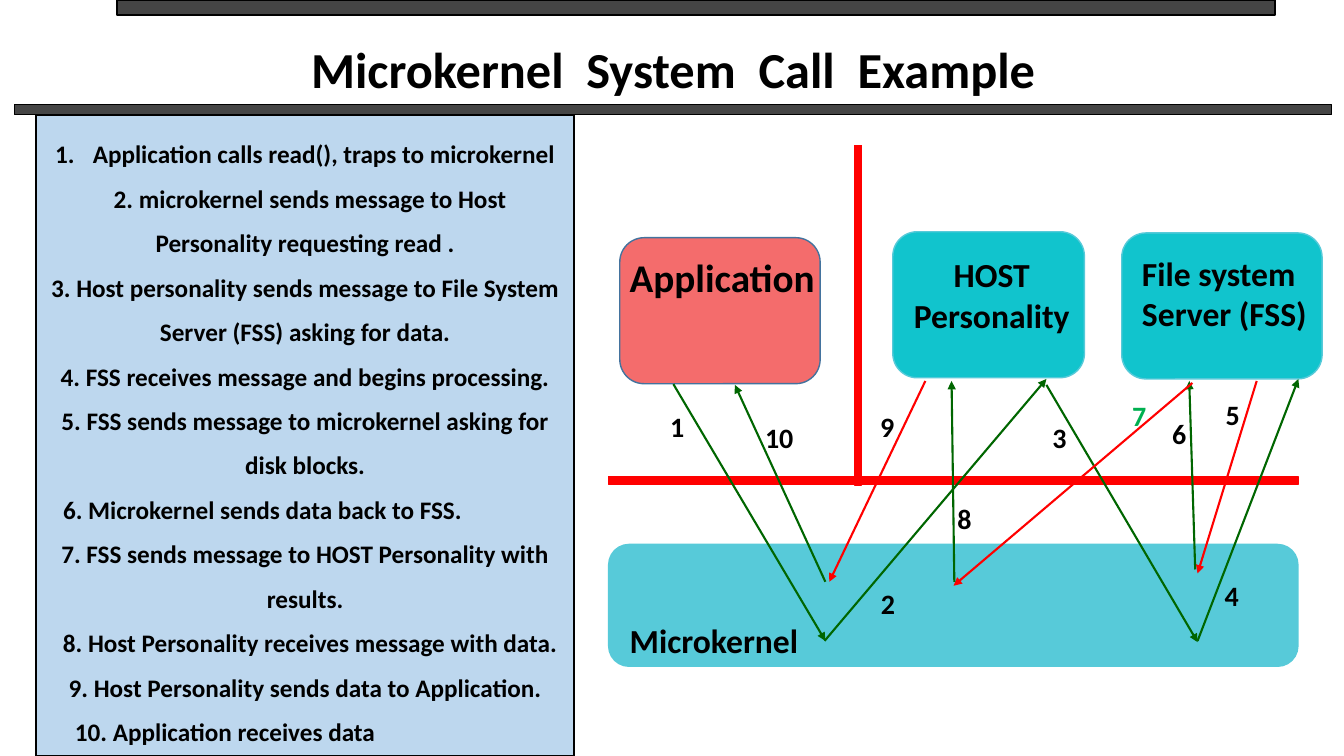
from lxml.etree import SubElement
from pptx import Presentation
from pptx.dml.color import RGBColor
from pptx.enum.shapes import MSO_CONNECTOR, MSO_SHAPE
from pptx.enum.text import MSO_ANCHOR, PP_ALIGN
from pptx.oxml.ns import qn
from pptx.util import Cm, Pt

COLORS = {
    "text": "000000", "bar": "454545", "panel": "BDD7EE", "kernel": "57CAD9",
    "server": "11C4CD", "application": "F46C6C", "application_edge": "43739E",
    "boundary": "FF0000", "request": "006600", "reply": "FF0000", "highlight": "00B050",
}


def color(name):
    return RGBColor.from_string(COLORS[name])


def write_text(frame, lines, size=24, text_color="text", align=PP_ALIGN.LEFT, spacing=None):
    """Fill a text frame with one formatted paragraph per line."""
    frame.word_wrap = True
    for index, line in enumerate(lines):
        paragraph = frame.paragraphs[0] if index == 0 else frame.add_paragraph()
        paragraph.alignment = align
        if spacing:
            paragraph.line_spacing = spacing
        run = paragraph.add_run()
        run.text = line
        run.font.name = "Calibri"
        run.font.size = Pt(size)
        run.font.bold = True
        run.font.color.rgb = color(text_color)


class SlideBuilder:
    def __init__(self, slide):
        self.slide = slide

    def title(self, text, left, top, width, height, margin):
        shape = self.slide.shapes.title
        shape.left, shape.top, shape.width, shape.height = map(Cm, (left, top, width, height))
        shape.text_frame.margin_left = Cm(margin)
        shape.text_frame.vertical_anchor = MSO_ANCHOR.TOP
        write_text(shape.text_frame, [text], size=36)

    def box(self, left, top, width, height, fill, line, kind=MSO_SHAPE.RECTANGLE):
        shape = self.slide.shapes.add_shape(kind, *map(Cm, (left, top, width, height)))
        shape.shadow.inherit = False
        shape.fill.solid()
        shape.fill.fore_color.rgb = color(fill)
        shape.line.color.rgb = color(line)
        shape.line.width = Pt(1)
        return shape

    def label(self, lines, left, top, width, height, **text_format):
        shape = self.slide.shapes.add_textbox(*map(Cm, (left, top, width, height)))
        write_text(shape.text_frame, lines, **text_format)

    def arrow(self, start, end, line):
        points = map(Cm, (*start, *end))
        connector = self.slide.shapes.add_connector(MSO_CONNECTOR.STRAIGHT, *points)
        connector.line.color.rgb = color(line)
        connector.line.width = Pt(1.5)
        SubElement(connector.line._get_or_add_ln(), qn("a:tailEnd"), type="triangle")
        SubElement(connector._element.spPr, qn("a:effectLst"))


def indent(paragraph, left=0, first=0):
    properties = paragraph._p.get_or_add_pPr()
    properties.set("marL", str(Cm(left)))
    properties.set("indent", str(Cm(first)))
    return properties


presentation = Presentation()
presentation.slide_width, presentation.slide_height = Cm(33.87), Cm(19.05)
slide = presentation.slides.add_slide(presentation.slide_layouts[5])
builder = SlideBuilder(slide)

# Title between two bars
builder.box(2.95, 0, 29.18, 0.38, "bar", "text")
builder.title("Microkernel  System  Call  Example", 3.78, 0.84, 27.86, 1.8, 4.06)
builder.box(0.36, 2.64, 33.2, 0.25, "bar", "text")

# Numbered steps
steps = [
    "Application calls read(), traps to microkernel",
    "2. microkernel sends message to Host Personality requesting read .",
    "3. Host personality sends message to File System Server (FSS) asking for data.",
    "4. FSS receives message and begins processing.",
    "5. FSS sends message to microkernel asking for disk blocks.",
    "6. Microkernel sends data back to FSS.",
    "7. FSS sends message to HOST Personality with results.",
    "8. Host Personality receives message with data.",
    "9. Host Personality sends data to Application.",
    "10. Application receives data",
]
panel = builder.box(0.91, 2.9, 13.56, 16.15, "panel", "text")
panel.text_frame.vertical_anchor = MSO_ANCHOR.MIDDLE
write_text(panel.text_frame, steps, size=18, align=PP_ALIGN.CENTER, spacing=1.47)
paragraphs = panel.text_frame.paragraphs
numbering = indent(paragraphs[0], left=0.95, first=-0.95)
SubElement(numbering, qn("a:buAutoNum"), type="arabicPeriod")
indent(paragraphs[1], first=0.25)
indent(paragraphs[7], left=0.25)
for number, left in ((6, 0.43), (10, 0.73)):
    paragraphs[number - 1].alignment = PP_ALIGN.LEFT
    indent(paragraphs[number - 1], left=left)

# Microkernel and protection boundaries
ROUNDED = MSO_SHAPE.ROUNDED_RECTANGLE
builder.box(15.34, 13.72, 17.37, 3.07, "kernel", "kernel", ROUNDED)
builder.label(["Microkernel"], 15.62, 15.49, 5.16, 1.27)
builder.box(15.34, 12.01, 17.37, 0.2, "boundary", "boundary")
builder.box(21.54, 3.66, 0.18, 8.56, "boundary", "boundary")

# Application and servers
builder.box(22.5, 5.84, 4.83, 3.68, "server", "kernel", ROUNDED)
builder.box(15.62, 5.99, 5.05, 3.68, "application", "application_edge", ROUNDED)
builder.box(28.27, 5.87, 5.05, 3.68, "server", "kernel", ROUNDED)
builder.label(["Application"], 15.62, 6.27, 5.61, 1.45, size=28)
builder.label(["HOST", "Personality"], 22.58, 6.28, 4.83, 2.31, align=PP_ALIGN.CENTER)
builder.label(["File system", "Server (FSS)"], 28.53, 6.25, 4.9, 2.31)

# Messages in step order: start, end, arrow colour, number position
messages = [
    ((16.97, 9.68), (20.8, 16.15), "request", (16.64, 10.19)),
    ((20.78, 16.15), (26.37, 9.55), "request", (21.95, 14.66)),
    ((26.37, 9.7), (30.18, 16.18), "request", (26.27, 10.46)),
    ((30.18, 16.15), (32.72, 9.55), "request", (30.61, 14.45)),
    ((31.67, 9.6), (30.18, 14.45), "reply", (30.64, 9.88)),
    ((30.12, 14.35), (29.97, 9.6), "request", (29.29, 10.36)),
    ((30.05, 9.65), (24.03, 14.76), "reply", (28.28, 9.91)),
    ((24.05, 14.66), (23.98, 9.6), "request", (23.88, 12.5)),
    ((23.32, 9.6), (20.9, 14.66), "reply", (21.93, 10.19)),
    ((20.8, 14.66), (18.52, 9.7), "request", (19.03, 10.46)),
]
for number, (start, end, line, position) in enumerate(messages, 1):
    builder.arrow(start, end, line)
    builder.label([str(number)], *position, 1.95 if number > 9 else 1.27, 1.12, size=20,
                  text_color="highlight" if number == 7 else "text")

presentation.save("out.pptx")
